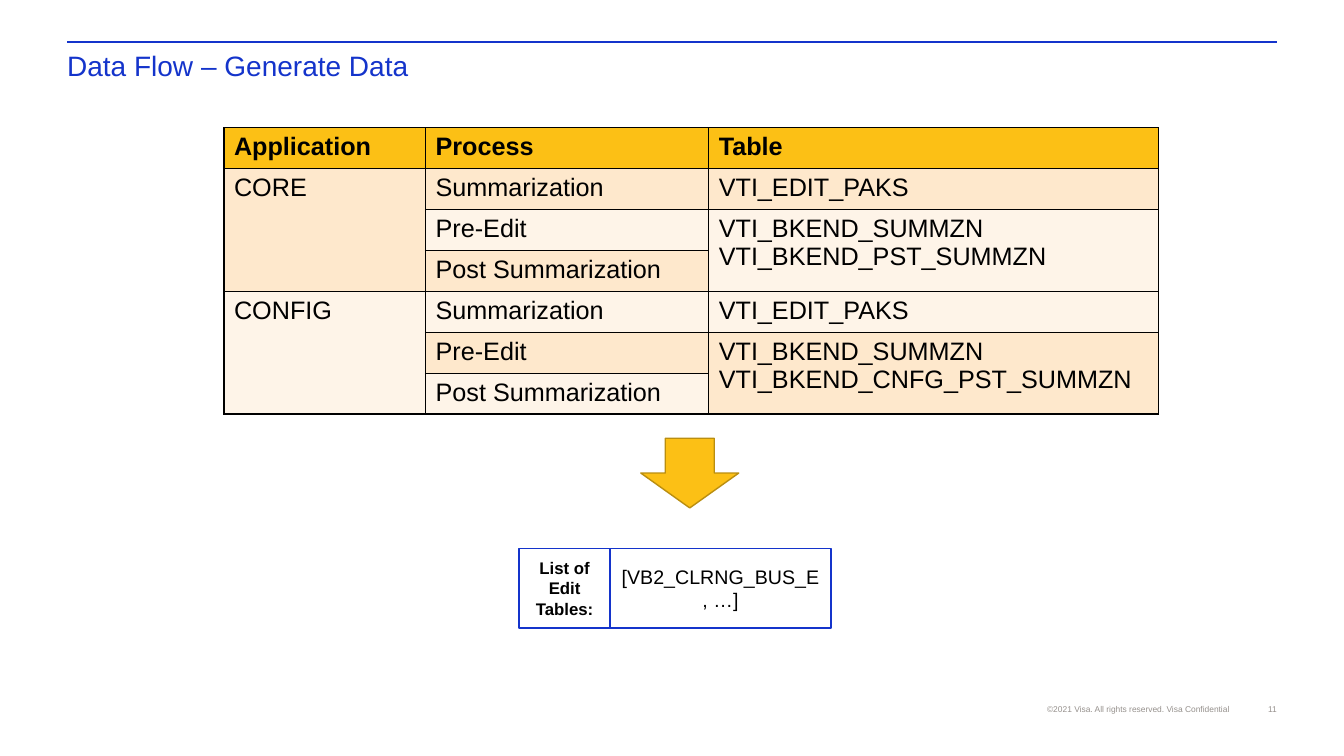
from lxml import etree
from pptx import Presentation
from pptx.dml.color import RGBColor
from pptx.enum import shapes, text
from pptx.oxml import ns
from pptx.util import Pt

BLUE, GOLD, GREY = "1434CB", "FCC015", "96918D"
BANDS = ["FEE8CC", "FEF4E8"]
LEFT, RIGHT = text.PP_ALIGN.LEFT, text.PP_ALIGN.RIGHT
CENTER = text.PP_ALIGN.CENTER
TOP, MIDDLE = text.MSO_ANCHOR.TOP, text.MSO_ANCHOR.MIDDLE
BOTTOM = text.MSO_ANCHOR.BOTTOM

HEADERS = ["Application", "Process", "Table"]
PROCESSES = ["Summarization", "Pre-Edit", "Post Summarization"]
APPLICATIONS = [
    ("CORE", "VTI_EDIT_PAKS", "VTI_BKEND_SUMMZN\nVTI_BKEND_PST_SUMMZN"),
    ("CONFIG", "VTI_EDIT_PAKS", "VTI_BKEND_SUMMZN\nVTI_BKEND_CNFG_PST_SUMMZN"),
]


def rgb(value):
    return RGBColor.from_string(value)


def write(tf, words, size=18, color="000000", bold=False, align=LEFT, spacing=None):
    """Fill a text frame, one paragraph per line of words."""
    for i, line in enumerate(words.split("\n")):
        p = tf.add_paragraph() if i else tf.paragraphs[0]
        p.alignment = align
        p.line_spacing = spacing
        r = p.add_run()
        r.text = line
        r.font.name, r.font.size, r.font.bold = "Arial", Pt(size), bold
        r.font.color.rgb = rgb(color)


def add_label(slide, x, y, w, h, words, anchor=TOP, wrap=True, **style):
    tf = slide.shapes.add_textbox(Pt(x), Pt(y), Pt(w), Pt(h)).text_frame
    tf.margin_left = tf.margin_top = tf.margin_right = tf.margin_bottom = 0
    tf.word_wrap, tf.vertical_anchor = wrap, anchor
    write(tf, words, **style)


def add_block(slide, kind, x, y, w, h, fill, line):
    sp = slide.shapes.add_shape(kind, Pt(x), Pt(y), Pt(w), Pt(h))
    sp.shadow.inherit = False
    sp.fill.solid()
    sp.fill.fore_color.rgb = rgb(fill)
    sp.line.color.rgb = rgb(line)
    sp.line.width = Pt(1)
    return sp


def add_header(slide, x, y, w):
    rule = slide.shapes.add_connector(
        shapes.MSO_CONNECTOR.STRAIGHT, Pt(x), Pt(y), Pt(x + w), Pt(y))
    rule.line.color.rgb = rgb(BLUE)
    rule.line.width = Pt(1.5)
    etree.SubElement(rule._element.spPr, ns.qn("a:effectLst"))
    add_label(slide, x, y + 7.2, w, 18.7, "Data Flow – Generate Data",
              wrap=False, size=20, color=BLUE, spacing=0.9)


def add_footer(slide, right, y):
    add_label(slide, right - 194.4, y, 160.6, 7.2,
              "©2021 Visa. All rights reserved. Visa Confidential",
              anchor=BOTTOM, size=6, color=GREY, align=RIGHT)
    add_label(slide, right - 31, y, 31, 7.2, "11", size=6, color=GREY, align=RIGHT)


def set_borders(cell):
    tcPr = cell._tc.get_or_add_tcPr()
    for i, side in enumerate(("lnL", "lnR", "lnT", "lnB")):
        ln = etree.Element(ns.qn(f"a:{side}"), w=str(Pt(1)))
        fill = etree.SubElement(ln, ns.qn("a:solidFill"))
        etree.SubElement(fill, ns.qn("a:srgbClr"), val="000000")
        tcPr.insert(i, ln)


def add_process_table(slide, x, y, widths, row_height):
    rows = 1 + len(APPLICATIONS) * len(PROCESSES)
    table = slide.shapes.add_table(rows, len(widths), Pt(x), Pt(y),
                                   Pt(sum(widths)), Pt(rows * row_height)).table
    for column, width in zip(table.columns, widths):
        column.width = Pt(width)
    for i, row in enumerate(table.rows):
        row.height = Pt(row_height)
        for cell in row.cells:
            cell.fill.solid()
            cell.fill.fore_color.rgb = rgb(BANDS[(i - 1) % 2] if i else GOLD)
            set_borders(cell)

    for j, words in enumerate(HEADERS):
        write(table.cell(0, j).text_frame, words, bold=True)
    for i, (name, first_table, later_tables) in enumerate(APPLICATIONS):
        top = 1 + i * len(PROCESSES)
        last = top + len(PROCESSES) - 1
        table.cell(top, 0).merge(table.cell(last, 0))
        table.cell(top + 1, 2).merge(table.cell(last, 2))
        write(table.cell(top, 0).text_frame, name)
        write(table.cell(top, 2).text_frame, first_table)
        write(table.cell(top + 1, 2).text_frame, later_tables)
        for k, process in enumerate(PROCESSES):
            write(table.cell(top + k, 1).text_frame, process)


def add_edit_list(slide, x, y, h):
    parts = [(65, "List of Edit Tables:", 12, True),
             (157.7, "[VB2_CLRNG_BUS_E, …]", 14, False)]
    for w, words, size, bold in parts:
        sp = add_block(slide, shapes.MSO_SHAPE.RECTANGLE, x, y, w, h, "FFFFFF", BLUE)
        tf = sp.text_frame
        tf.word_wrap, tf.vertical_anchor = True, MIDDLE
        write(tf, words, size=size, bold=bold, align=CENTER)
        x += w


def main():
    prs = Presentation()
    prs.slide_width, prs.slide_height = Pt(960), Pt(540)
    slide = prs.slides.add_slide(prs.slide_layouts[6])
    add_header(slide, 48, 30, 864)
    add_footer(slide, 912, 503.3)
    add_process_table(slide, 160, 91.2, [144, 202.3, 321.1], 29.25)
    add_block(slide, shapes.MSO_SHAPE.DOWN_ARROW, 457.7, 313, 70, 49.8, GOLD, "BA8E10")
    add_edit_list(slide, 370.8, 391.7, 57)
    prs.save("out.pptx")


if __name__ == "__main__":
    main()
